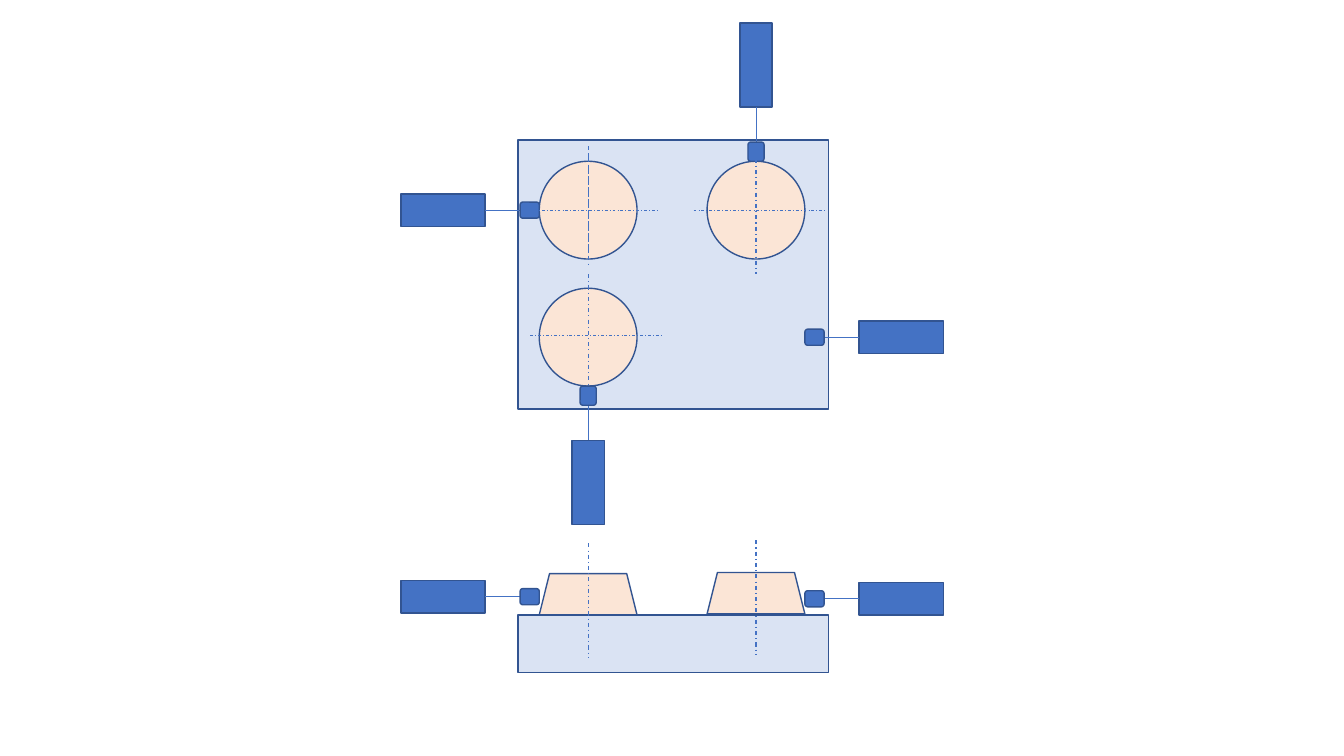
import math
import lxml.etree
import pptx
import pptx.util
import pptx.dml.color
import pptx.enum.dml
import pptx.enum.shapes
import pptx.oxml.ns

PALE = pptx.dml.color.RGBColor(0xDA, 0xE3, 0xF3)
PEACH = pptx.dml.color.RGBColor(0xFB, 0xE5, 0xD6)
BLUE = pptx.dml.color.RGBColor(0x44, 0x72, 0xC4)
NAVY = pptx.dml.color.RGBColor(0x32, 0x54, 0x91)
KIND = pptx.enum.shapes.MSO_SHAPE
DASH = pptx.enum.dml.MSO_LINE.DASH_DOT

WIDE = pptx.util.Inches(13.333)
HIGH = pptx.util.Inches(7.5)
COL = WIDE / 133.33
ROW = HIGH / 75

POST = 9.7
EDGE = 6.95
STEP = 16.65
DROP = 12.6
RISE = 4.1


def add_part(group, kind, mid, size, fill, turn=0):
    """Draw a filled shape about its middle, in grid cells."""
    (x, y), (w, h) = mid, size
    part = group.add_shape(kind, round((x - w / 2) * COL), round((y - h / 2) * ROW),
                           round(w * COL), round(h * ROW))
    part.rotation = turn
    part.shadow.inherit = False
    part.fill.solid()
    part.fill.fore_color.rgb = fill
    part.line.color.rgb = NAVY
    part.line.width = pptx.util.Pt(1)


def add_line(group, start, end, width=0.5, dash=None):
    """Draw a straight blue line between two grid points."""
    line = group.add_connector(pptx.enum.shapes.MSO_CONNECTOR.STRAIGHT,
                               round(start[0] * COL), round(start[1] * ROW),
                               round(end[0] * COL), round(end[1] * ROW))
    line.line.color.rgb = BLUE
    line.line.width = pptx.util.Pt(width)
    line.line.dash_style = dash
    props = line._element.spPr
    lxml.etree.SubElement(props, pptx.oxml.ns.qn("a:effectLst"))


def add_probe(group, post, turn):
    """Draw a sensor that points at a post's middle along an angle."""
    angle = math.radians(turn)

    def back(gap):
        """Give the point at a gap behind the post's rim."""
        reach = POST / 2 + gap
        return post[0] - reach * math.cos(angle), post[1] - reach * math.sin(angle)

    add_part(group, KIND.RECTANGLE, back(9.55), (8.35, 3.2), BLUE, turn)
    add_line(group, back(5.4), back(1))
    add_part(group, KIND.ROUNDED_RECTANGLE, back(0.95), (1.9, 1.6), BLUE, turn)


def add_base(group, box):
    """Draw the pale plate that fills a box."""
    x, y, w, h = box
    add_part(group, KIND.RECTANGLE, (x + w / 2, y + h / 2), (w, h), PALE)


def draw_side(slide, box):
    """Draw the side view: plate, two posts, their axes and sensors."""
    left, top = box[:2]
    add_base(slide.shapes, box)
    posts = [(left + EDGE, top, 0), (left + EDGE + STEP, top - 0.1, 180)]
    for x, foot, turn in posts:
        add_part(slide.shapes, KIND.TRAPEZOID, (x, foot - RISE / 2), (POST, RISE), PEACH)
    for (x, foot, turn), start in zip(posts, (-7.1, -7.4)):
        add_line(slide.shapes, (x, top + start), (x, top + start + 11.3), 0.75, DASH)
    for (x, foot, turn), lift in zip(posts, (1.8, 1.6)):
        add_probe(slide.shapes.add_group_shape().shapes, (x, top - lift), turn)


def draw_plan(slide, box):
    """Draw the top view: plate, three posts, four sensors and the axes."""
    left, top = box[:2]
    group = slide.shapes.add_group_shape().shapes
    add_base(group, box)
    near, far = left + EDGE, left + EDGE + STEP
    high, low = top + EDGE, top + EDGE + DROP
    for mid in ((near, high), (near, low), (far, high)):
        add_part(group, KIND.OVAL, mid, (POST, POST), PEACH)
    corners = ((near, high), (far, high), (far, low), (near, low))
    for index, mid in enumerate(corners):
        add_probe(group, mid, index * 90)
    for x, start, end in ((near, 13.3, 25.4), (near, 1.4, 12.6),
                          (far, 0.7, 13.3), (near, 0.6, 11.8)):
        add_line(group, (x, top + start), (x, top + end), 0.75, DASH)
    for y, start in ((low - 0.2, 1.2), (high, 17.4), (high, 0.8)):
        add_line(group, (left + start, y), (left + start + 13, y), 0.5, DASH)


def main():
    """Build the slide and save it."""
    deck = pptx.Presentation()
    deck.slide_width, deck.slide_height = WIDE, HIGH
    slide = deck.slides.add_slide(deck.slide_layouts[6])
    draw_side(slide, (51.4, 61, 30.8, 5.7))
    draw_plan(slide, (51.4, 13.9, 30.8, 26.7))
    deck.save("out.pptx")


main()
